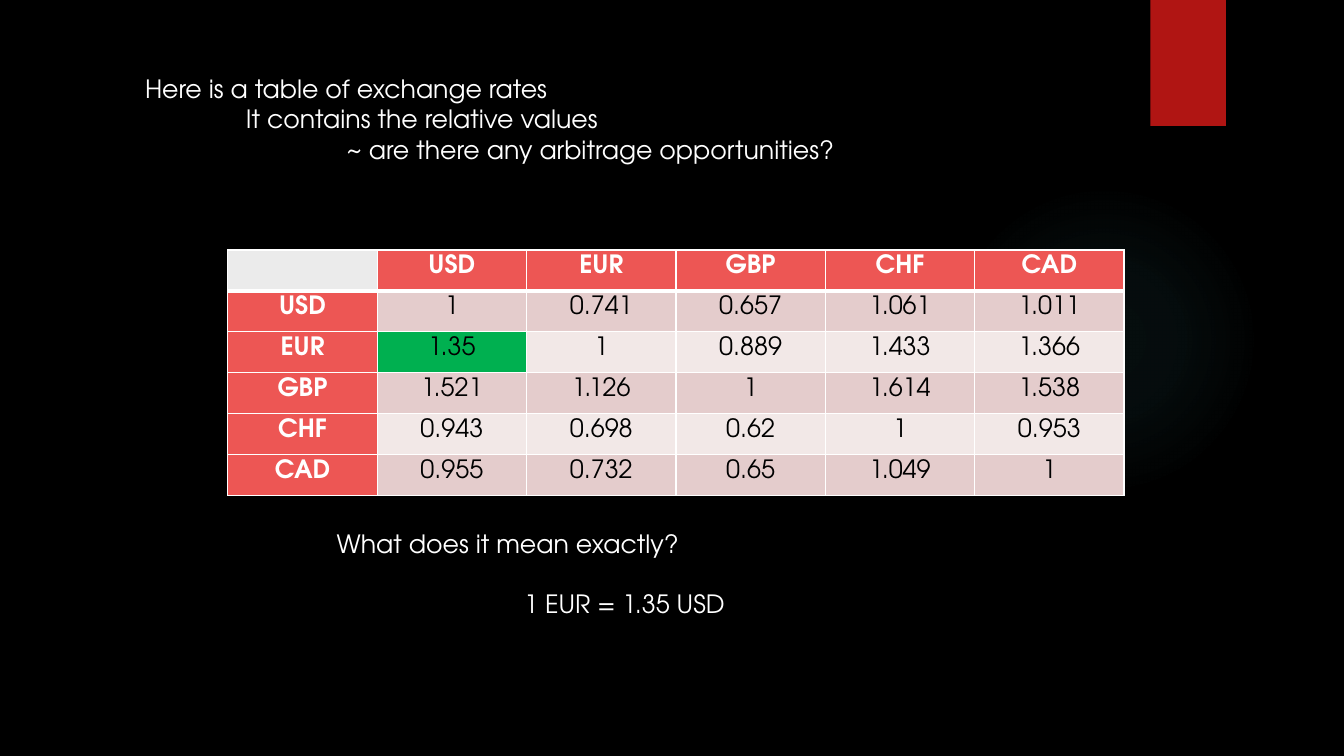
from dataclasses import dataclass

from pptx import Presentation
from pptx.dml.color import RGBColor
from pptx.enum.shapes import MSO_SHAPE as SHAPE
from pptx.enum.text import PP_ALIGN as ALIGN
from pptx.oxml import parse_xml
from pptx.oxml.ns import nsdecls
from pptx.util import Inches, Pt


@dataclass(frozen=True)
class Theme:
    """Colours, font and type size of the slide."""
    font: str = "TeX Gyre Adventor"
    size: int = 18
    background: str = "000000"
    light: str = "FFFFFF"
    dark: str = "000000"
    ribbon: str = "B01513"
    glow: str = "50B9C1"
    header: str = "ED5654"
    corner: str = "EBEBEB"
    odd_row: str = "E4CCCC"
    even_row: str = "F2E8E7"
    highlight: str = "00B050"


THEME = Theme()

CURRENCIES = ["USD", "EUR", "GBP", "CHF", "CAD"]
RATES = [
    [1, 0.741, 0.657, 1.061, 1.011],
    [1.35, 1, 0.889, 1.433, 1.366],
    [1.521, 1.126, 1, 1.614, 1.538],
    [0.943, 0.698, 0.62, 1, 0.953],
    [0.955, 0.732, 0.65, 1.049, 1],
]
HIGHLIGHTED = (2, 1)


def rgb(color):
    """Turn a hex string into a colour."""
    return RGBColor.from_string(color)


def write(p, text, color=THEME.light, bold=False, align=ALIGN.LEFT, indent=0):
    """Write formatted text into a paragraph, indented by some inches."""
    p.alignment = align
    if indent:
        pPr = p._p.get_or_add_pPr()
        pPr.set("marL", str(Inches(indent)))
        pPr.set("indent", "0")
    r = p.add_run()
    r.text = text
    r.font.name = THEME.font
    r.font.size = Pt(THEME.size)
    r.font.bold = bold
    r.font.color.rgb = rgb(color)


def add_text(slide, x, y, w, h, lines):
    """Add a text box whose lines step one inch further right each."""
    tf = slide.shapes.add_textbox(Inches(x), Inches(y), Inches(w), Inches(h)).text_frame
    tf.word_wrap = True
    for i, line in enumerate(lines):
        p = tf.add_paragraph() if i else tf.paragraphs[0]
        write(p, line, indent=i)


def add_plain_shape(slide, kind, x, y, w, h, color):
    """Add a filled shape without line or shadow."""
    s = slide.shapes.add_shape(kind, Inches(x), Inches(y), Inches(w), Inches(h))
    s.shadow.inherit = False
    s.line.fill.background()
    s.fill.solid()
    s.fill.fore_color.rgb = rgb(color)
    return s


def add_glow(slide):
    """Add the faint circle of light that fades to its edge."""
    s = add_plain_shape(slide, SHAPE.OVAL, 9.41, 1.83, 3.08, 3.08, THEME.glow)
    stops = "".join(
        f'<a:gs pos="{pos * 1000}"><a:srgbClr val="{THEME.glow}">'
        f'<a:alpha val="{alpha * 1000}"/></a:srgbClr></a:gs>'
        for pos, alpha in [(0, 7), (36, 6), (69, 0), (100, 0)])
    gradient = parse_xml(
        f'<a:gradFill {nsdecls("a")} rotWithShape="1"><a:gsLst>{stops}</a:gsLst>'
        '<a:path path="circle"><a:fillToRect l="50000" t="50000" r="50000" b="50000"/>'
        '</a:path></a:gradFill>')
    spPr = s._element.spPr
    spPr.replace(spPr.solidFill, gradient)


def add_ribbon(slide):
    """Add the red ribbon with its soft shadow."""
    s = add_plain_shape(slide, SHAPE.RECTANGLE, 11.41, 0, 0.75, 1.25, THEME.ribbon)
    s._element.spPr.effectLst.append(parse_xml(
        f'<a:outerShdw {nsdecls("a")} blurRad="{Pt(3)}" dist="{Pt(2)}" dir="5400000" '
        f'rotWithShape="0"><a:srgbClr val="{THEME.dark}"><a:alpha val="45000"/>'
        '</a:srgbClr></a:outerShdw>'))


def set_borders(cell, **widths):
    """Draw cell borders of the given point widths, keyed L, R, T and B."""
    tcPr = cell._tc.get_or_add_tcPr()
    for i, (side, width) in enumerate(widths.items()):
        tcPr.insert(i, parse_xml(
            f'<a:ln{side} {nsdecls("a")} w="{Pt(width)}"><a:solidFill>'
            f'<a:srgbClr val="{THEME.light}"/></a:solidFill></a:ln{side}>'))


def cell_fill(row, col):
    """Choose the fill of a cell from its place in the table."""
    if (row, col) == HIGHLIGHTED:
        return THEME.highlight
    if row == col == 0:
        return THEME.corner
    if row == 0 or col == 0:
        return THEME.header
    return THEME.odd_row if row % 2 else THEME.even_row


def add_rate_table(slide, x, y, w, h):
    """Add the table of exchange rates."""
    rows = [["", *CURRENCIES]]
    rows += [[name, *map(str, rates)] for name, rates in zip(CURRENCIES, RATES)]
    n = len(rows)
    table = slide.shapes.add_table(
        n, n, Inches(x), Inches(y), Inches(w), Inches(h)).table
    for i, row in enumerate(rows):
        for j, text in enumerate(row):
            cell = table.cell(i, j)
            cell.margin_top = cell.margin_bottom = Inches(0.05)
            cell.fill.solid()
            cell.fill.fore_color.rgb = rgb(cell_fill(i, j))
            set_borders(cell, L=1, R=1, T=3 if i == 1 else 1, B=3 if i == 0 else 1)
            if text:
                heading = i == 0 or j == 0
                write(cell.text_frame.paragraphs[0], text, bold=heading,
                      color=THEME.light if heading else THEME.dark,
                      align=ALIGN.CENTER)


def main():
    """Build the exchange rate slide."""
    prs = Presentation()
    prs.slide_width, prs.slide_height = Inches(13.33), Inches(7.5)
    slide = prs.slides.add_slide(prs.slide_layouts[6])
    slide.background.fill.solid()
    slide.background.fill.fore_color.rgb = rgb(THEME.background)

    add_glow(slide)
    add_ribbon(slide)
    add_rate_table(slide, 2.26, 2.48, 8.89, 2.44)
    add_text(slide, 1.34, 0.68, 7.12, 1.01, [
        "Here is a table of exchange rates",
        "It contains the relative values",
        "~ are there any arbitrage opportunities?",
    ])
    add_text(slide, 3.24, 5.19, 3.71, 0.4, ["What does it mean exactly?"])
    add_text(slide, 5.1, 5.79, 2.2, 0.4, ["1 EUR = 1.35 USD"])
    prs.save("out.pptx")


main()
